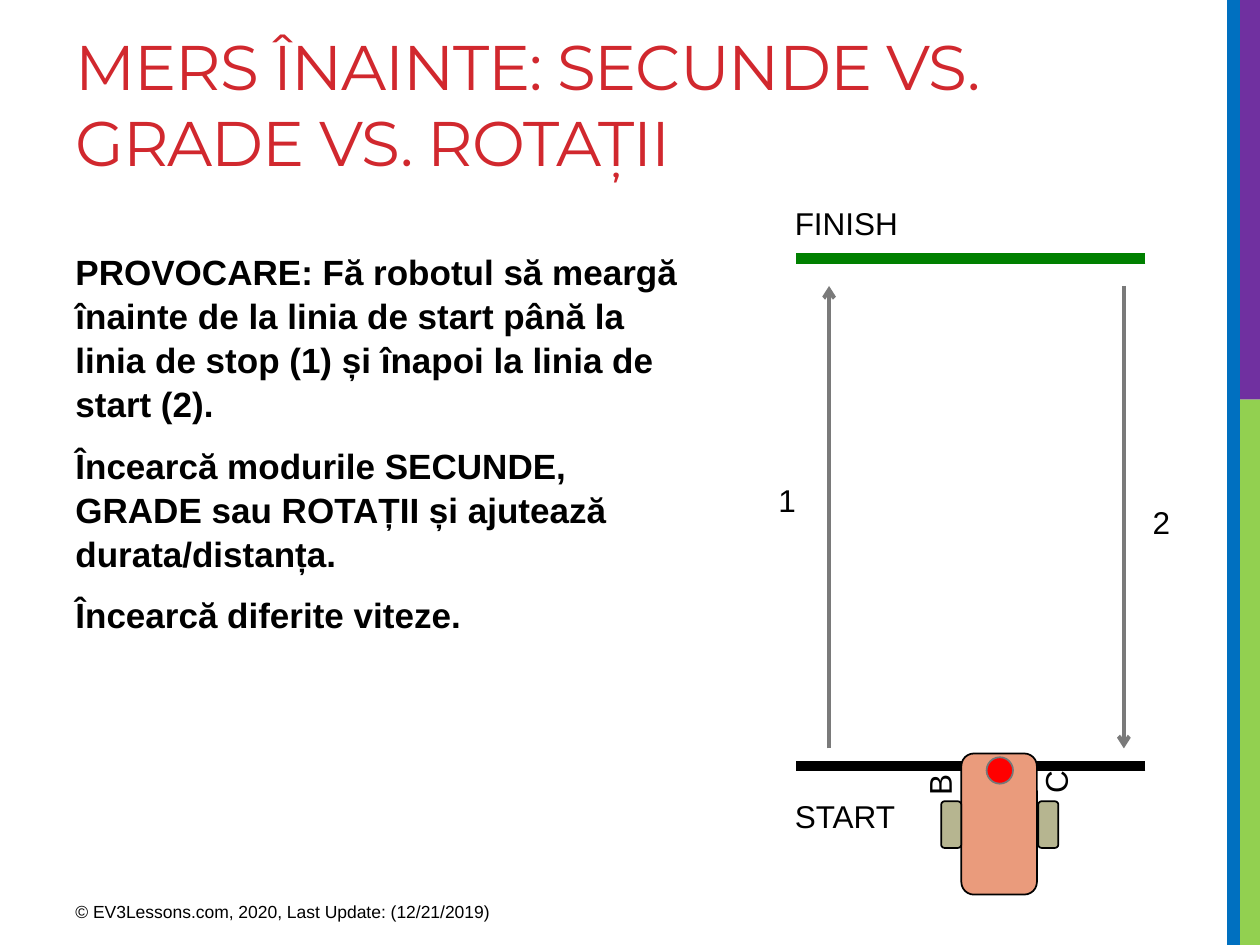
"""Build the slide that sets the straight-drive robot challenge."""
from lxml import etree
from pptx import Presentation
from pptx.dml.color import RGBColor
from pptx.enum.shapes import MSO_CONNECTOR, MSO_SHAPE
from pptx.oxml.ns import qn
from pptx.util import Inches, Pt

RECT = MSO_SHAPE.RECTANGLE
ROUND = MSO_SHAPE.ROUNDED_RECTANGLE
OVAL = MSO_SHAPE.OVAL
LINE = MSO_CONNECTOR.STRAIGHT

BLACK = RGBColor(0x00, 0x00, 0x00)
CRIMSON = RGBColor(0xD1, 0x28, 0x2E)
BLUE = RGBColor(0x00, 0x70, 0xC0)
PURPLE = RGBColor(0x70, 0x30, 0xA0)
LIME = RGBColor(0x92, 0xD0, 0x50)
GREEN = RGBColor(0x00, 0x80, 0x00)
GREY = RGBColor(0x7A, 0x7A, 0x7A)
RIM = RGBColor(0x77, 0x77, 0x77)
SALMON = RGBColor(0xEA, 0x9B, 0x7C)
KHAKI = RGBColor(0xB6, 0xB5, 0x90)
RED = RGBColor(0xFF, 0x00, 0x00)

TASKS = [
    "PROVOCARE: Fă robotul să meargă înainte de la linia de start până la "
    "linia de stop (1) și înapoi la linia de start (2).",
    "Încearcă modurile SECUNDE, GRADE sau ROTAȚII și ajutează durata/distanța.",
    "Încearcă diferite viteze.",
]


class Board:
    """Holds the style and the shapes being drawn on."""

    font = "Arial"
    size = 18
    color = BLACK

    def __init__(self, slide):
        self.shapes = slide.shapes

    def group(self):
        """Send what is drawn next into a new group."""
        self.shapes = self.shapes.add_group_shape().shapes

    def shape(self, kind, box, fill, edge=None):
        """Draw a filled preset shape, outlined if an edge is given."""
        item = self.shapes.add_shape(kind, *map(Inches, box))
        item.shadow.inherit = False
        item.fill.solid()
        item.fill.fore_color.rgb = fill
        if edge is None:
            item.line.fill.background()
        else:
            item.line.color.rgb = edge
            item.line.width = Pt(1)

    def line(self, start, end, color, width, arrow=False):
        """Draw a straight line, with an open arrow at its end if asked."""
        item = self.shapes.add_connector(LINE, *map(Inches, start + end))
        item.line.color.rgb = color
        item.line.width = Pt(width)
        if arrow:
            tail = etree.SubElement(item.line._get_or_add_ln(), qn("a:tailEnd"))
            tail.set("type", "arrow")
        etree.SubElement(item._element.spPr, qn("a:effectLst"))

    def text(self, text, box, *, font=None, size=None, color=None, bold=False,
             wrap=True, turn=0, track=0, lead=None, before=0, after=0):
        """Write one paragraph for each line of text."""
        item = self.shapes.add_textbox(*map(Inches, box))
        item.rotation = turn
        frame = item.text_frame
        frame.word_wrap = wrap
        frame.text = text
        for rank, para in enumerate(frame.paragraphs):
            para.space_before = Pt(before if rank else 0)
            para.space_after = Pt(after)
            if lead:
                para.line_spacing = lead
            for run in para.runs:
                run.font.name = font or self.font
                run.font.size = Pt(size or self.size)
                run.font.color.rgb = color or self.color
                run.font.bold = bold
                if track:
                    run.font._element.set("spc", str(track))


def main():
    """Draw the slide and save it."""
    deck = Presentation()
    deck.slide_width, deck.slide_height = Inches(10), Inches(7.5)
    board = Board(deck.slides.add_slide(deck.slide_layouts[6]))

    board.shape(RECT, (9.84, 3.17, 0.16, 4.33), LIME)
    board.shape(RECT, (9.8, 0, 0.2, 3.17), PURPLE)
    board.shape(RECT, (9.74, 0, 0.1, 7.5), BLUE)

    board.text("MERS ÎNAINTE: SECUNDE VS. GRADE VS. ROTAȚII",
               (0.5, 0.17, 9.02, 1.5), font="Montserrat", size=36,
               color=CRIMSON, track=-60)
    board.text("\n".join(TASKS), (0.5, 1.92, 4.98, 4.78), size=20, bold=True,
               lead=1.05, before=4, after=6)

    for y, color in ((2.05, GREEN), (6.08, BLACK)):
        board.line((9.09, y), (6.32, y), color, 6)
    far, near = 2.27, 5.94
    for x, start, end in ((6.58, near, far), (8.92, far, near)):
        board.line((x, start), (x, end), GREY, 2.25, arrow=True)

    board.text("1", (6.08, 3.77, 0.34, 0.4))
    board.text("2", (9.05, 3.94, 0.34, 0.4))
    board.text("FINISH", (6.21, 1.57, 1.03, 0.4), wrap=False)
    board.text("START", (6.21, 6.28, 1, 0.4), wrap=False)
    board.text("© EV3Lessons.com, 2020, Last Update: (12/21/2019)",
               (0.5, 7.1, 3.75, 0.31), size=10)

    board.group()
    board.shape(ROUND, (7.63, 5.98, 0.6, 1.12), SALMON, BLACK)
    for x in (8.24, 7.47):
        board.shape(ROUND, (x, 6.36, 0.16, 0.37), KHAKI, BLACK)
    board.shape(OVAL, (7.83, 6.01, 0.21, 0.21), RED, RIM)
    for name, x, y in (("B", 7.18, 6.04), ("C", 8.1, 6.02)):
        board.text(name, (x, y, 0.45, 0.3), turn=270)

    deck.save("out.pptx")


if __name__ == "__main__":
    main()
